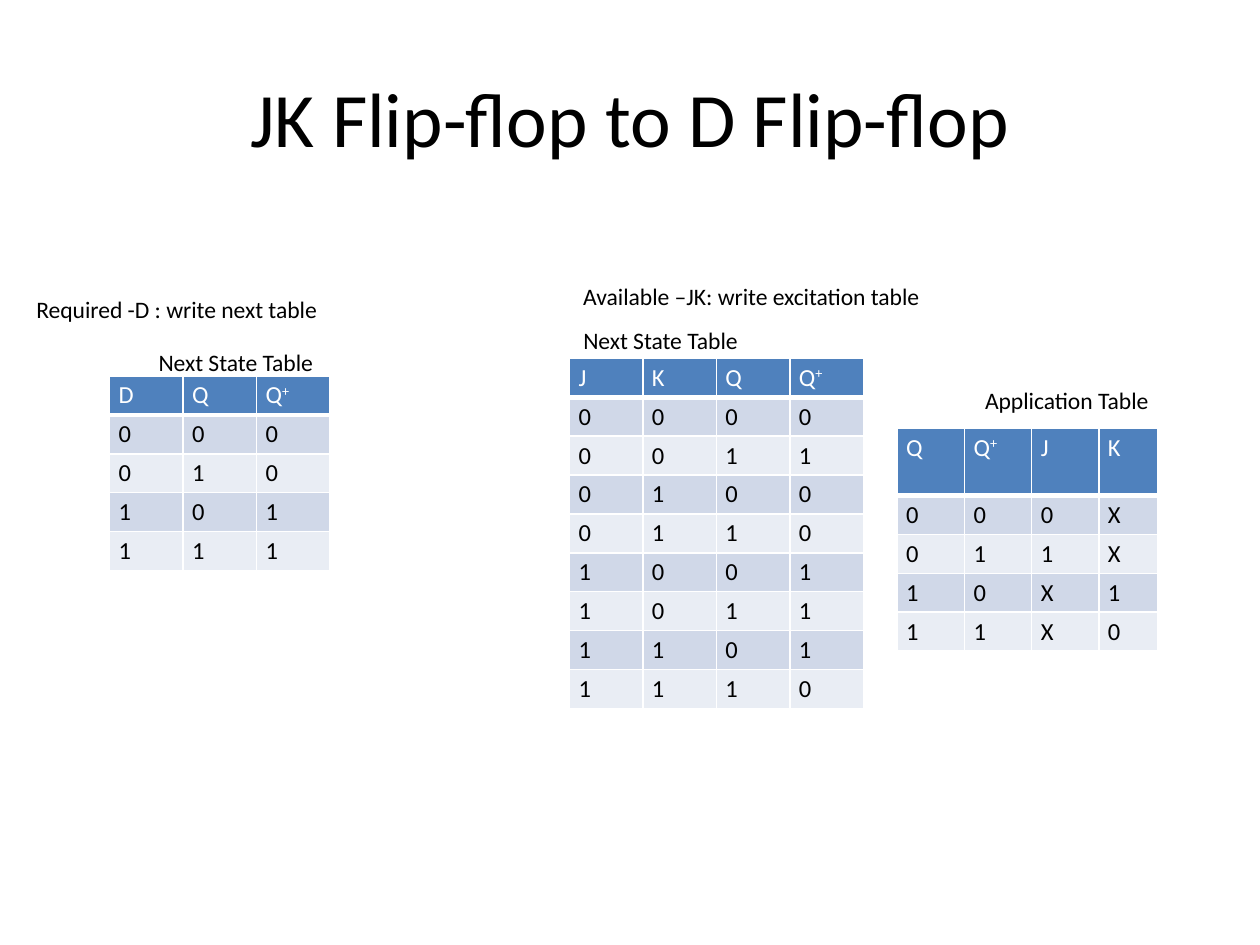
from dataclasses import dataclass
from typing import Any

import lxml.etree
import pptx
import pptx.dml.color
import pptx.enum.text
import pptx.oxml.ns
import pptx.util

Pt = pptx.util.Pt

BLACK = "000000"
WHITE = "FFFFFF"
HEADER_FILL = "4F81BD"
BAND_FILLS = ("D0D8E8", "E9EDF4")
ROW_HEIGHT = 22.2

CELL_FORMAT = {
    "margin_left": Pt(5.2),
    "margin_right": Pt(5.2),
    "margin_top": Pt(2.6),
    "margin_bottom": Pt(2.6),
}
HEADER_BORDERS = {"a:lnL": 1, "a:lnR": 1, "a:lnT": 1, "a:lnB": 3}


@dataclass
class Label:
    text: str
    left: float
    top: float
    width: float
    wrap: bool = False


@dataclass
class StateTable:
    left: float
    top: float
    columns: list[float]
    header: list[str]
    rows: list[str]
    header_height: float = ROW_HEIGHT


LABELS = [
    Label("Required -D : write next table", 13.7, 164.9, 201.6, True),
    Label("Next State Table", 83.5, 195.1, 104.4),
    Label("Available –JK: write excitation table", 326.2, 157.7, 254.9, True),
    Label("Next State Table", 326.2, 182.9, 104.4),
    Label("Application Table", 555.8, 216.7, 109.4),
]
TABLES = [
    StateTable(62.6, 214.9, [42] * 3, ["D", "Q", "Q+"],
               ["000", "010", "101", "111"]),
    StateTable(325.4, 204.8, [42] * 4, ["J", "K", "Q", "Q+"],
               ["0000", "0011", "0100", "0110",
                "1001", "1011", "1101", "1110"]),
    StateTable(512.6, 244.8, [38.6, 38.4, 38.4, 33.8], ["Q", "Q+", "J", "K"],
               ["000X", "011X", "10X1", "11X0"], 38.4),
]


def color(value: str) -> pptx.dml.color.RGBColor:
    return pptx.dml.color.RGBColor.from_string(value)


def apply_format(target: Any, values: dict[str, Any]) -> None:
    for name, value in values.items():
        setattr(target, name, value)


def add_run(paragraph: Any, text: str, size: float, font_color: str) -> Any:
    run = paragraph.add_run()
    run.text = text
    apply_format(run.font, {"name": "Calibri", "size": Pt(size)})
    run.font.color.rgb = color(font_color)
    return run


def add_label(slide: Any, label: Label) -> None:
    shape = slide.shapes.add_textbox(
        Pt(label.left), Pt(label.top), Pt(label.width), Pt(23.7))
    apply_format(shape.text_frame, {
        "word_wrap": label.wrap,
        "auto_size": pptx.enum.text.MSO_AUTO_SIZE.SHAPE_TO_FIT_TEXT,
    })
    add_run(shape.text_frame.paragraphs[0], label.text, 13.5, BLACK)


def add_header_borders(cell: Any) -> None:
    properties = cell._tc.get_or_add_tcPr()
    qn = pptx.oxml.ns.qn
    for position, (side, width) in enumerate(HEADER_BORDERS.items()):
        line = lxml.etree.Element(qn(side), w=str(Pt(width)))
        fill = lxml.etree.SubElement(line, qn("a:solidFill"))
        lxml.etree.SubElement(fill, qn("a:srgbClr"), val=WHITE)
        properties.insert(position, line)


def fill_cell(cell: Any, text: str, fill: str, font_color: str) -> None:
    apply_format(cell, CELL_FORMAT)
    cell.fill.solid()
    cell.fill.fore_color.rgb = color(fill)
    paragraph = cell.text_frame.paragraphs[0]
    add_run(paragraph, text[0], 14, font_color)
    if len(text) > 1:
        superscript = add_run(paragraph, text[1:], 14, font_color)
        superscript._r.get_or_add_rPr().set("baseline", "30000")


def add_state_table(slide: Any, state_table: StateTable) -> None:
    heights = [state_table.header_height] + [ROW_HEIGHT] * len(state_table.rows)
    table = slide.shapes.add_table(
        len(heights), len(state_table.columns),
        Pt(state_table.left), Pt(state_table.top),
        Pt(sum(state_table.columns)), Pt(sum(heights))).table
    for column, width in zip(table.columns, state_table.columns):
        column.width = Pt(width)
    for row, height in zip(table.rows, heights):
        row.height = Pt(height)
    for cell, text in zip(table.rows[0].cells, state_table.header):
        fill_cell(cell, text, HEADER_FILL, WHITE)
        add_header_borders(cell)
    for index, values in enumerate(state_table.rows):
        for cell, text in zip(table.rows[index + 1].cells, values):
            fill_cell(cell, text, BAND_FILLS[index % 2], BLACK)


def add_title(slide: Any, text: str) -> None:
    title = slide.shapes.title
    apply_format(title, {
        "left": Pt(36), "top": Pt(21.6), "width": Pt(648), "height": Pt(90),
    })
    title.text_frame.vertical_anchor = pptx.enum.text.MSO_ANCHOR.MIDDLE
    paragraph = title.text_frame.paragraphs[0]
    paragraph.alignment = pptx.enum.text.PP_ALIGN.CENTER
    add_run(paragraph, text, 44, BLACK)


def main() -> None:
    presentation = pptx.Presentation()
    apply_format(presentation, {"slide_width": Pt(720), "slide_height": Pt(540)})
    slide = presentation.slides.add_slide(
        presentation.slide_layouts.get_by_name("Title Only"))
    add_title(slide, "JK Flip-flop to D Flip-flop")
    for state_table in TABLES:
        add_state_table(slide, state_table)
    for label in LABELS:
        add_label(slide, label)
    presentation.save("out.pptx")


if __name__ == "__main__":
    main()
